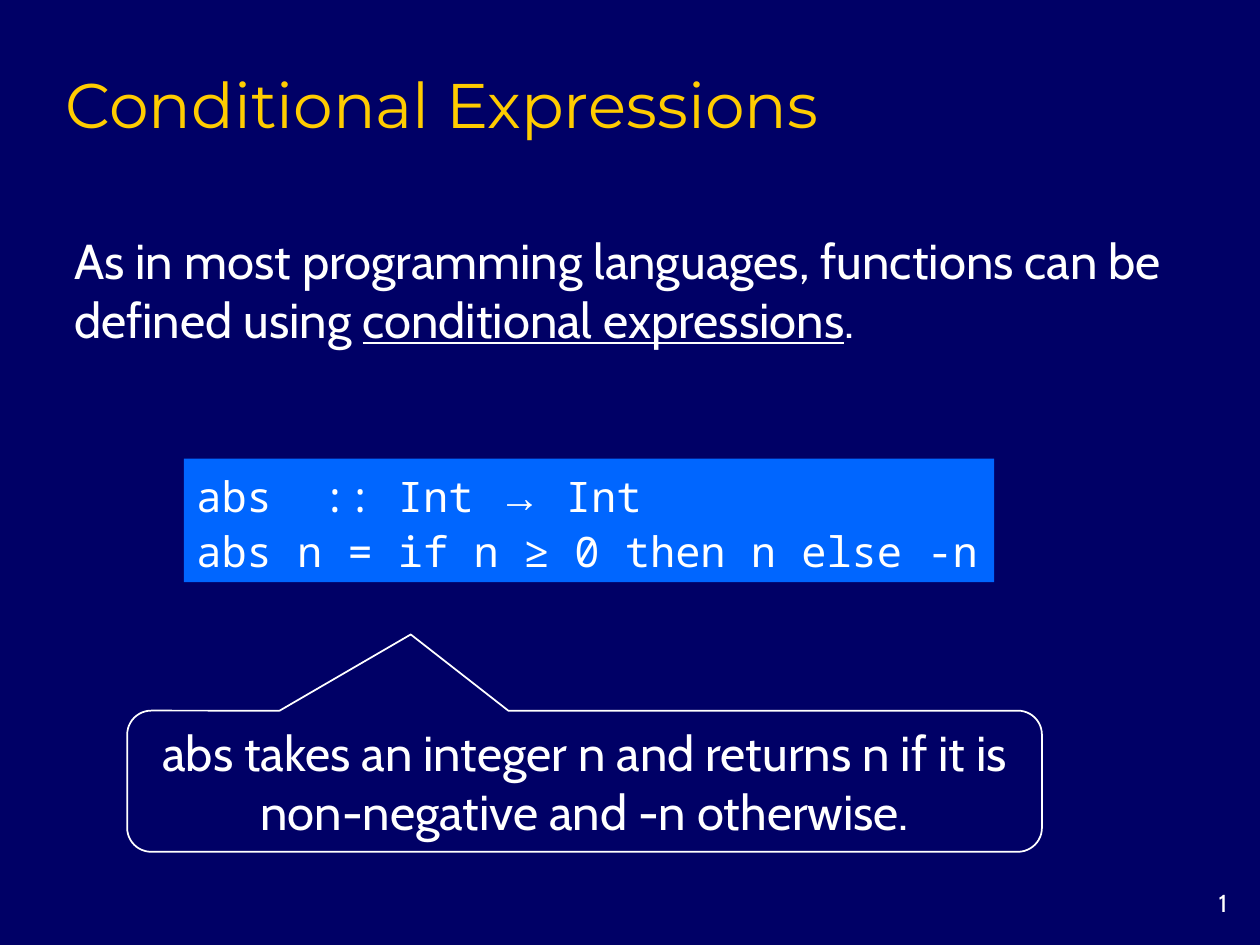
from dataclasses import dataclass

from pptx import Presentation
from pptx.dml.color import RGBColor as Color
from pptx.enum.shapes import MSO_SHAPE as Shape
from pptx.enum.text import MSO_ANCHOR as Anchor, PP_ALIGN as Align
from pptx.util import Inches, Pt


@dataclass(frozen=True)
class Theme:
    background: Color = Color(0x00, 0x00, 0x66)
    title: Color = Color(0xFF, 0xCC, 0x00)
    text: Color = Color(0xFF, 0xFF, 0xFF)
    code_fill: Color = Color(0x00, 0x66, 0xFF)
    title_font: str = "Montserrat"
    body_font: str = "Cabin"
    code_font: str = "Noto Sans Mono"
    symbol_font: str = "Times New Roman"
    title_size: int = 36
    body_size: int = 28
    code_size: int = 24
    number_size: int = 14


@dataclass(frozen=True)
class Box:
    left: float
    top: float
    width: float
    height: float

    def lengths(self) -> tuple:
        return tuple(map(Inches, (self.left, self.top, self.width, self.height)))


@dataclass(frozen=True)
class Piece:
    text: str
    font: str
    size: int
    color: Color = Theme.text
    underline: bool = False


def write(shape, lines: list[list[Piece]], align=Align.LEFT, anchor=Anchor.MIDDLE,
          wrap: bool = True, spacing: float = 1.0) -> None:
    """Write each line of pieces as one paragraph."""
    frame = shape.text_frame
    frame.word_wrap = wrap
    frame.vertical_anchor = anchor
    for index, pieces in enumerate(lines):
        paragraph = frame.add_paragraph() if index else frame.paragraphs[0]
        paragraph.alignment = align
        paragraph.line_spacing = spacing
        for piece in pieces:
            run = paragraph.add_run()
            run.text = piece.text
            run.font.name = piece.font
            run.font.size = Pt(piece.size)
            run.font.color.rgb = piece.color
            run.font.underline = piece.underline


def body(text: str, underline: bool = False) -> Piece:
    return Piece(text, theme.body_font, theme.body_size, underline=underline)


def code(text: str) -> Piece:
    return Piece(text, theme.code_font, theme.code_size)


theme = Theme()
presentation = Presentation()
presentation.slide_width, presentation.slide_height = Inches(10), Inches(7.5)
slide = presentation.slides.add_slide(presentation.slide_layouts[5])
slide.background.fill.solid()
slide.background.fill.fore_color.rgb = theme.background
shapes = slide.shapes

# Title
title = shapes.title
title.left, title.top, title.width, title.height = Box(0.42, 0.42, 8.5, 0.75).lengths()
write(title, [[Piece("Conditional Expressions", theme.title_font, theme.title_size, theme.title)]],
      anchor=Anchor.BOTTOM)

# Introduction
introduction = shapes.add_textbox(*Box(0.49, 1.78, 8.85, 1.03).lengths())
write(introduction, [[
    body("As in most programming languages, functions can be defined using "),
    body("conditional expressions", underline=True),
    body("."),
]])

# Code panel
panel = shapes.add_shape(Shape.RECTANGLE, *Box(1.46, 3.64, 6.43, 0.98).lengths())
panel.shadow.inherit = False
panel.fill.solid()
panel.fill.fore_color.rgb = theme.code_fill
panel.line.fill.background()
write(panel, [
    [code("abs  :: Int "), Piece("→", theme.symbol_font, theme.code_size), code(" Int")],
    [code("abs n = if n ≥ 0 then n else -n")],
], wrap=False, spacing=1.1)

# Explanation pointing up at the code
callout = shapes.add_shape(Shape.ROUNDED_RECTANGULAR_CALLOUT, *Box(1.01, 5.64, 7.26, 1.12).lengths())
callout.shadow.inherit = False
callout.fill.background()
callout.line.color.rgb = theme.text
callout.line.width = Pt(1)
for index, value in enumerate((-0.19, -1.04, 0.17)):
    callout.adjustments[index] = value
write(callout, [[body("abs takes an integer n and returns n if it is non-negative and -n otherwise.")]],
      align=Align.CENTER)

# Slide number
number = shapes.add_textbox(*Box(9.17, 7, 0.67, 0.33).lengths())
write(number, [[Piece("1", theme.body_font, theme.number_size)]], align=Align.RIGHT, anchor=Anchor.TOP)

presentation.save("out.pptx")
